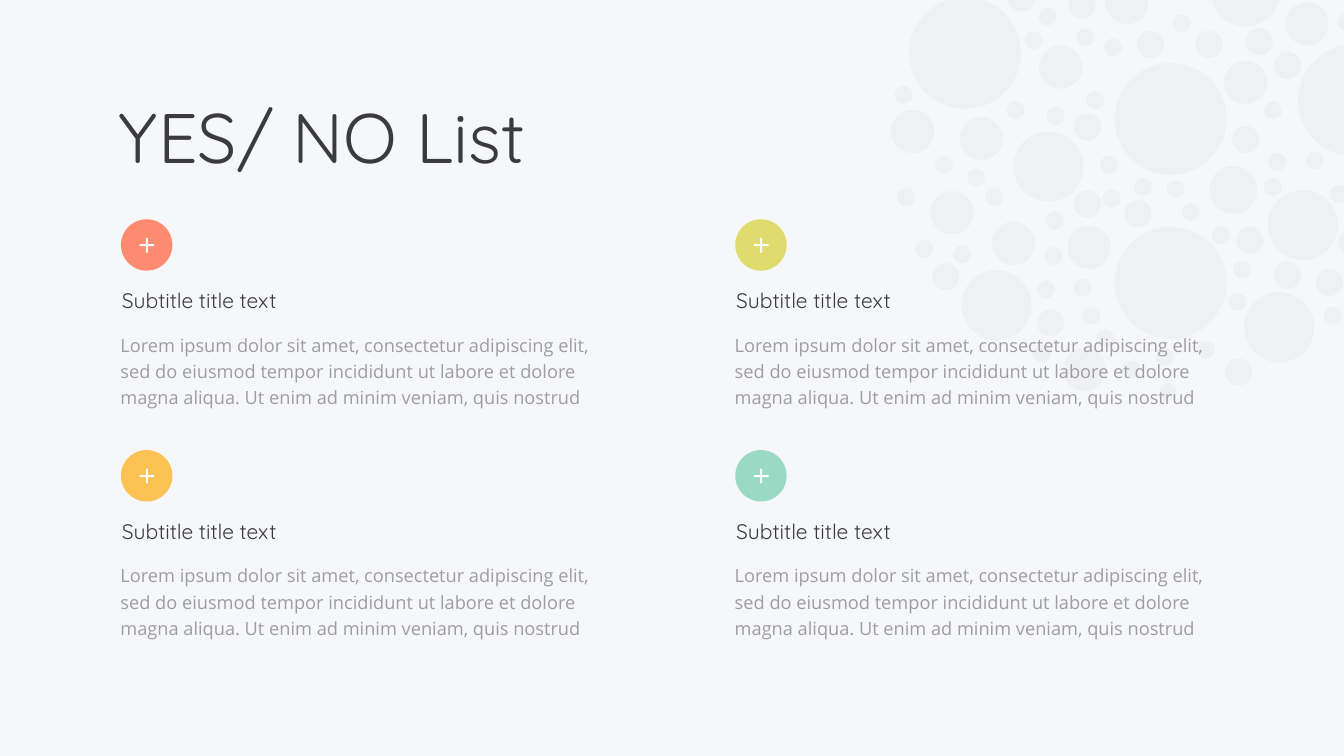
import pptx
import pptx.dml.color
import pptx.enum.shapes
import pptx.enum.text
import pptx.oxml
import pptx.oxml.ns
import pptx.util
from pptx.util import Inches

COLORS = {
    "background": "F6F7F8", "dark": "3B3B3D", "grey": "9F9DA0", "white": "FFFFFF",
    "coral": "FE8A6F", "yellow": "FDC254", "lime": "DFDC6D", "mint": "9ADAC5",
}
HEADING_FONT, BODY_FONT = "Quicksand", "Open Sans"
BODY = ("Lorem ipsum dolor sit amet, consectetur adipiscing elit, sed do eiusmod tempor "
        "incididunt ut labore et dolore magna aliqua. Ut enim ad minim veniam, quis nostrud")


class SlideBuilder:
    def __init__(self, slide):
        self.slide = slide

    def paint(self, fill, color, alpha=None):
        fill.solid()
        fill.fore_color.rgb = pptx.dml.color.RGBColor.from_string(COLORS[color])
        if alpha is not None:
            rgb = fill._xPr.find(".//" + pptx.oxml.ns.qn("a:srgbClr"))
            element = pptx.oxml.parse_xml(
                f'<a:alpha {pptx.oxml.ns.nsdecls("a")} val="{alpha * 1000}"/>')
            rgb.append(element)

    def finish(self, shape, color, alpha=None):
        self.paint(shape.fill, color, alpha)
        shape.line.fill.background()
        shape.shadow.inherit = False

    def circle(self, left, top, size, color, alpha=None):
        shape = self.slide.shapes.add_shape(
            pptx.enum.shapes.MSO_SHAPE.OVAL,
            Inches(left), Inches(top), Inches(size), Inches(size))
        self.finish(shape, color, alpha)

    def plus(self, left, top, size=0.29, bar=0.04):
        near, far = (size - bar) / 2, (size + bar) / 2
        points = [(near, 0), (far, 0), (far, near), (size, near), (size, far), (far, far),
                  (far, size), (near, size), (near, far), (0, far), (0, near), (near, near)]
        points = [(Inches(left + x), Inches(top + y)) for x, y in points]
        outline = self.slide.shapes.build_freeform(*points[0])
        outline.add_line_segments(points[1:], close=True)
        self.finish(outline.convert_to_shape(), "white")

    def set_text(self, shape, text, size, font, color, spacing, before=0, middle=True):
        frame = shape.text_frame
        frame.text = text
        frame.word_wrap = True
        frame.auto_size = pptx.enum.text.MSO_AUTO_SIZE.NONE
        anchors = pptx.enum.text.MSO_ANCHOR
        frame.vertical_anchor = anchors.MIDDLE if middle else anchors.TOP
        frame.margin_left = frame.margin_right = Inches(0.06)
        frame.margin_top = frame.margin_bottom = Inches(0.06)
        paragraph = frame.paragraphs[0]
        paragraph.alignment = pptx.enum.text.PP_ALIGN.LEFT
        paragraph.line_spacing = spacing
        paragraph.space_before = pptx.util.Pt(before)
        paragraph.font.size = pptx.util.Pt(size)
        paragraph.font.name = font
        paragraph.font.color.rgb = pptx.dml.color.RGBColor.from_string(COLORS[color])

    def title(self, text, left, top, width, height):
        shape = self.slide.shapes.title
        shape.left, shape.top = Inches(left), Inches(top)
        shape.width, shape.height = Inches(width), Inches(height)
        self.set_text(shape, text, 100, HEADING_FONT, "dark", 0.9)

    def text(self, text, left, top, width, height, *style, **options):
        shape = self.slide.shapes.add_textbox(
            Inches(left), Inches(top), Inches(width), Inches(height))
        self.set_text(shape, text, *style, **options)

    def list_item(self, left, top, color):
        self.text(BODY, left, top + 2.13, 9.82, 1.65, 26, BODY_FONT, "grey", 1.2,
                  before=20, middle=False)
        self.text("Subtitle title text", left + 0.03, top + 1.36, 5.74, 0.57,
                  30, HEADING_FONT, "dark", 0.9)
        self.circle(left + 0.07, top, 1.02, color)
        self.plus(left + 0.44, top + 0.37)


presentation = pptx.Presentation()
presentation.slide_width, presentation.slide_height = Inches(26.67), Inches(15)
slide = presentation.slides.add_slide(presentation.slide_layouts[5])
builder = SlideBuilder(slide)
builder.paint(slide.background.fill, "background")

# Bubble pattern: diameter -> top-left corners
BUBBLES = {
    2.22: [(18.04, -0.06), (22.12, 4.5), (25.76, 0.88), (22.12, 1.25)],
    1.39: [(24.02, -0.87), (19.08, 5.36), (20.11, 2.61), (25.16, 3.77), (24.69, 5.8)],
    0.95: [(24, 3.29)],
    0.86: [(20.62, 0.9), (21.93, -0.38), (25.51, 0.04), (24.29, 1.21), (21.18, 4.48),
           (19.68, 4.4), (18.46, 3.79), (19.04, 2.32), (17.68, 2.18), (21.09, 6.9)],
    0.54: [(23.72, 0.61), (22.56, 0.61), (20, -0.31), (21.2, -0.17), (21.31, 2.25),
           (21.31, 3.78), (26.11, 5.33), (24.31, 7.11), (20.58, 6.14), (18.5, 5.22),
           (26.56, 4.53), (24.45, 2.5), (25.28, 1.03), (24.72, 0.56), (24.53, 4.5),
           (25.28, 5.19), (22.31, 3.97)],
    0.36: [(20.61, 0.15), (21.91, 0.76), (23.27, 0.28), (26.55, 0.26), (25.08, 2.01),
           (25.91, 3.01), (25.16, 3.03), (22.5, 3.53), (21.88, 3.76), (21.83, 3.09),
           (21.55, 1.81), (20.77, 2.12), (19.97, 2.01), (18.55, 3.09), (17.8, 3.73),
           (17.75, 1.7), (19.55, 3.73), (18.91, 4.87), (18.16, 4.76), (21.3, 5.53),
           (20.72, 4.9), (20.58, 5.56), (21.75, 6.53), (23, 7.59), (23.75, 6.76),
           (22.94, 6.9), (24.47, 5.17), (26.38, 3.67), (24.38, 5.81), (23.45, 4.03),
           (24.05, 4.48), (21.47, 6.09), (20.5, 6.84), (22.26, 7.15), (23.15, 3.57),
           (20.75, 4.2), (19.19, 3.34), (20.33, 0.62), (21.36, 0.56), (26.27, 6.09),
           (25.08, 3.53)],
}
for diameter, corners in BUBBLES.items():
    for left, top in corners:
        builder.circle(left, top, diameter, "grey", alpha=7)

# Title
builder.title("YES/ NO List", 2.3, 1.98, 13.55, 1.63)

# Two columns of two list items
ITEM_COLORS = [["coral", "yellow"], ["lime", "mint"]]
for column, colors in enumerate(ITEM_COLORS):
    for row, color in enumerate(colors):
        builder.list_item(2.33 + 12.19 * column, 4.35 + 4.58 * row, color)

presentation.save("out.pptx")
